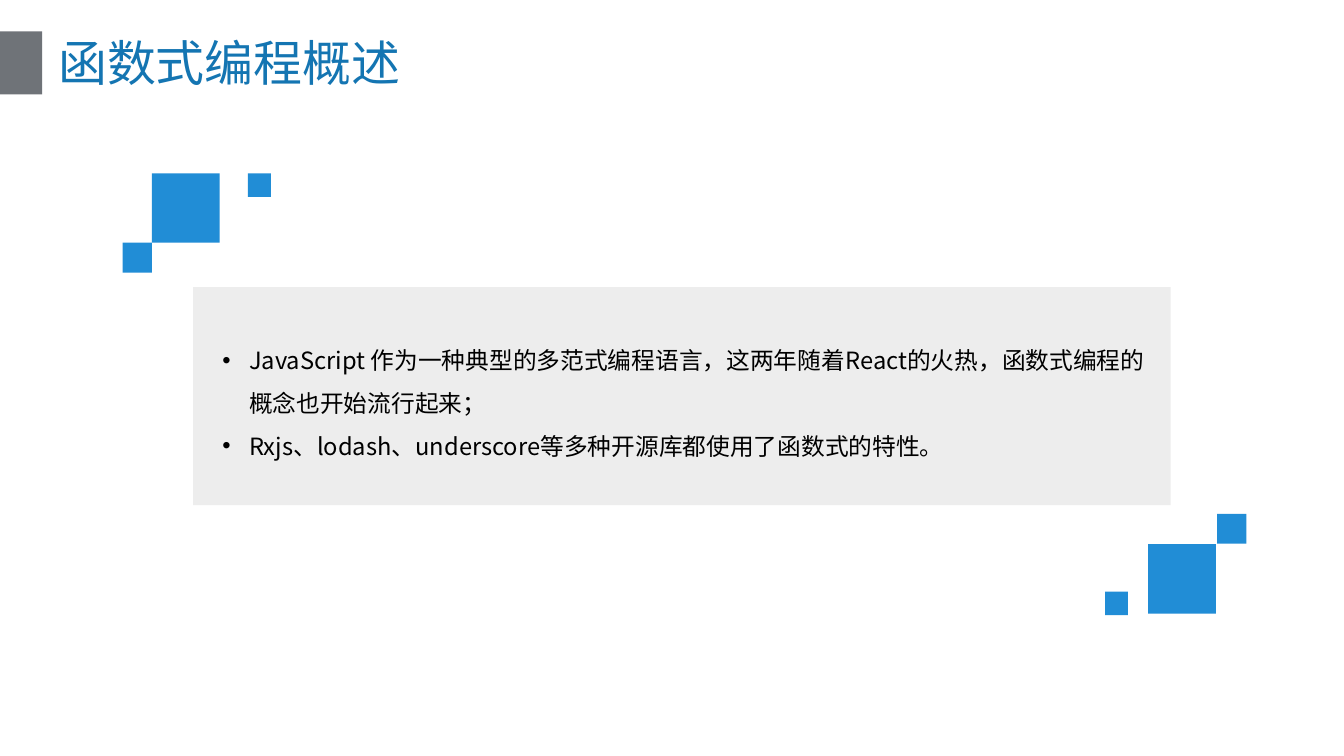
from lxml.etree import SubElement
from pptx import Presentation
from pptx.dml.color import RGBColor as RGB
from pptx.enum.shapes import MSO_SHAPE as Shape
from pptx.enum.text import MSO_ANCHOR as Anchor, MSO_AUTO_SIZE as Fit, PP_ALIGN as Align
from pptx.oxml.ns import qn
from pptx.util import Pt

PX = 9144
FONT = "Noto Sans CJK SC"
SLATE = RGB(0x6F, 0x73, 0x78)
NAVY = RGB(0x14, 0x75, 0xB2)
BLUE = RGB(0x21, 0x8D, 0xD6)
PALE = RGB(0xED, 0xED, 0xED)
BLACK = RGB(0, 0, 0)

TITLE = "函数式编程概述"
POINTS = [
    "JavaScript 作为一种典型的多范式编程语言，这两年随着React的火热，函数式编程的概念也开始流行起来；",
    "Rxjs、lodash、underscore等多种开源库都使用了函数式的特性。",
]
SIZES = [(127, 130), (55, 56), (43, 44)]
UPPER = [(55, 0), (0, 130), (235, 0)]
LOWER = [(81, 57), (210, 0), (0, 146)]


def apply(item, style):
    for name, value in style.items():
        setattr(item, name, value)


def place(shape, box):
    apply(shape, dict(zip(("left", "top", "width", "height"), (n * PX for n in box))))


def block(slide, box, color):
    shape = slide.shapes.add_shape(Shape.RECTANGLE, *(n * PX for n in box))
    shape.shadow.inherit = False
    shape.fill.solid()
    shape.fill.fore_color.rgb = color
    shape.line.fill.background()


def write(para, text, size, color):
    run = para.add_run()
    run.text = text
    apply(run.font, {"name": FONT, "size": Pt(size)})
    run.font.color.rgb = color
    SubElement(run.font._element, qn("a:ea"), typeface=FONT)


def header(slide, box):
    left, top, width, height = box
    block(slide, (left, top + 2, 79, height - 2), SLATE)
    title = slide.shapes.title
    place(title, (left + 79, top, width - 79, height))
    frame = title.text_frame
    apply(frame, {"vertical_anchor": Anchor.MIDDLE, "auto_size": Fit.NONE,
                  "word_wrap": True, "margin_left": 30 * PX})
    para = frame.paragraphs[0]
    para.alignment = Align.LEFT
    write(para, TITLE, 66, NAVY)


def squares(slide, box, spots):
    left, top = box
    for (x, y), size in zip(spots, SIZES):
        block(slide, (left + x, top + y, *size), BLUE)


def panel(slide, box):
    left, top, width, height = box
    block(slide, box, PALE)
    body = slide.placeholders[1]
    place(body, (left + 50, top + 79, width - 93, height - 165))
    slide.shapes._spTree.append(body._element)
    frame = body.text_frame
    sides = ("left", "right", "top", "bottom")
    apply(frame, {f"margin_{side}": 5 * PX for side in sides})
    apply(frame, {"vertical_anchor": Anchor.TOP, "auto_size": Fit.NONE, "word_wrap": True})
    for i, text in enumerate(POINTS):
        para = frame.add_paragraph() if i else frame.paragraphs[0]
        apply(para, {"alignment": Align.LEFT, "line_spacing": 1.5,
                     "space_before": Pt(0), "space_after": Pt(0)})
        props = para._p.get_or_add_pPr()
        props.set("marL", str(50 * PX))
        props.set("indent", str(-50 * PX))
        SubElement(props, qn("a:buFont"), typeface="Arial")
        SubElement(props, qn("a:buChar"), char="•")
        write(para, text, 32, BLACK)


def main():
    deck = Presentation()
    apply(deck, {"slide_width": 2520 * PX, "slide_height": 1417 * PX})
    slide = deck.slides.add_slide(deck.slide_layouts[1])
    header(slide, (0, 57, 2441, 120))
    squares(slide, (2072, 963), LOWER)
    squares(slide, (230, 325), UPPER)
    panel(slide, (362, 538, 1833, 409))
    deck.save("out.pptx")


if __name__ == "__main__":
    main()
